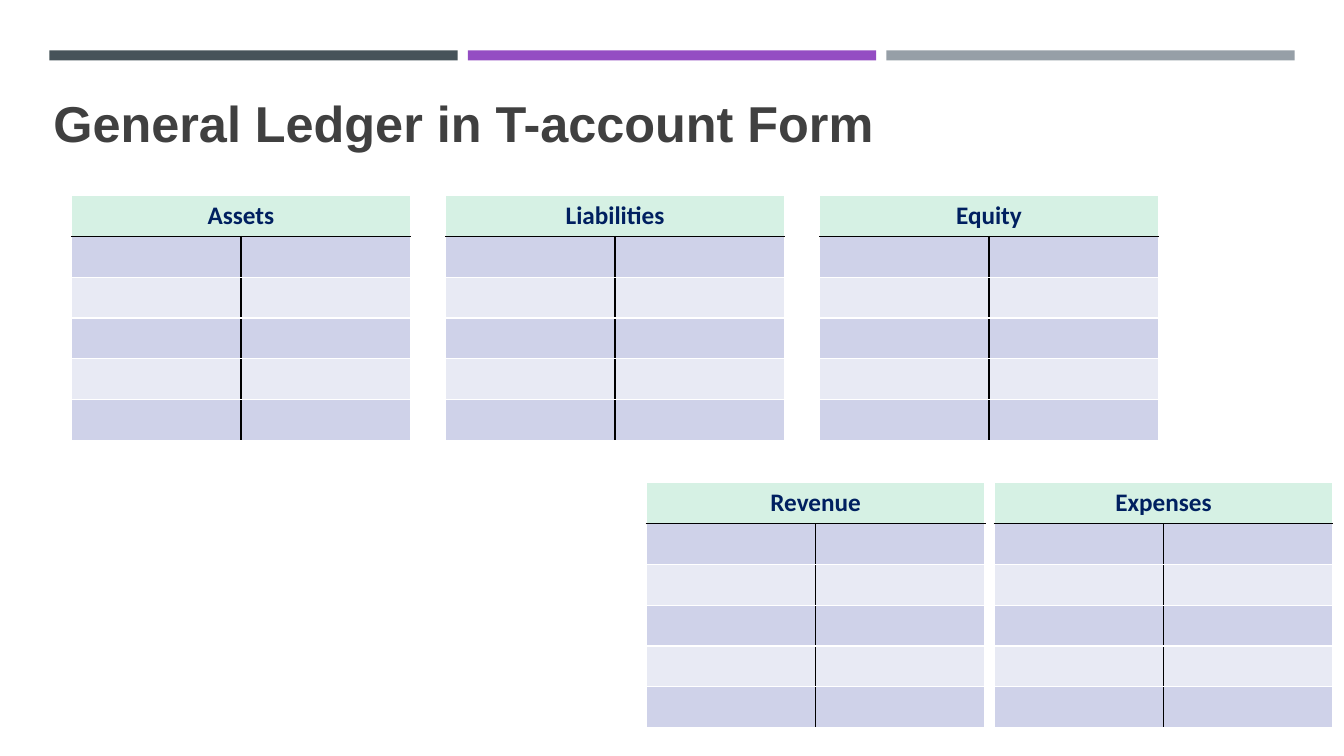
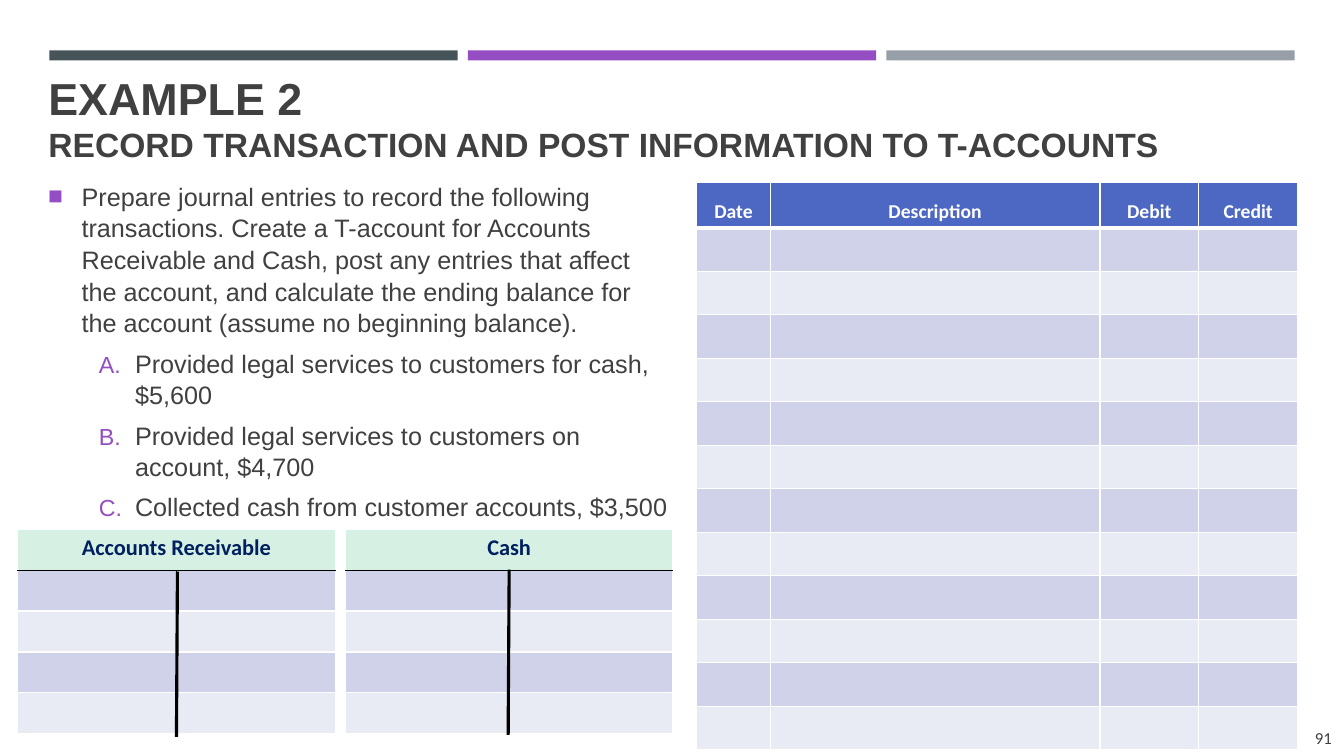
import pptx
import pptx.dml.color
import pptx.enum.shapes
import pptx.enum.text
import pptx.oxml.ns
import pptx.util
from lxml import etree
from pptx.util import Inches

# Shared look
WHITE, BLACK, TEXT, NAVY = "FFFFFF", "000000", "404040", "002060"
SLATE, PURPLE, GREY = "465359", "944DC3", "969FA7"
MINT, BLUE, BAND_DARK, BAND_LIGHT = "D6F1E4", "4D68C3", "CFD2E9", "E8EAF4"
color = pptx.dml.color.RGBColor.from_string
qn = pptx.oxml.ns.qn
ALIGN = pptx.enum.text.PP_ALIGN
ANCHOR = pptx.enum.text.MSO_ANCHOR


def write_text(paragraph, text, size=18, font="Arial", fill=TEXT, bold=False, align=ALIGN.LEFT):
    paragraph.alignment = align
    run = paragraph.add_run()
    run.text = text
    run.font.size = pptx.util.Pt(size)
    run.font.name = font
    run.font.bold = bold
    run.font.color.rgb = color(fill)


def add_ledger(slide, left, top, widths, height, row_count, headings, size=18, t_account=True):
    """Banded table; a T-account has one merged heading and black inner rules."""
    table = slide.shapes.add_table(row_count, len(widths), Inches(left), Inches(top),
                                   Inches(sum(widths)), Inches(height)).table
    table.first_row = table.horz_banding = False
    for column, width in zip(table.columns, widths):
        column.width = Inches(width)
    for row in range(row_count):
        for position in range(len(widths)):
            cell = table.cell(row, position)
            cell.margin_left = cell.margin_right = Inches(0.05)
            borders = {"L": (WHITE, 1), "R": (WHITE, 1), "T": (WHITE, 1), "B": (WHITE, 1)}
            if t_account:
                if row == 0:
                    borders["B"] = (BLACK, 1)
                else:
                    borders["R" if position == 0 else "L"] = (BLACK, 1)
                    if row == 1:
                        borders["T"] = (BLACK, 1)
            elif row < 2:
                borders["B" if row == 0 else "T"] = (WHITE, 3)
            properties = cell._tc.get_or_add_tcPr()
            for side, (line_color, points) in borders.items():
                line = etree.SubElement(properties, qn("a:ln" + side), w=str(pptx.util.Pt(points)))
                solid = etree.SubElement(line, qn("a:solidFill"))
                etree.SubElement(solid, qn("a:srgbClr"), val=line_color)
            cell.fill.solid()
            heading_fill = MINT if t_account else BLUE
            band = BAND_DARK if row % 2 else BAND_LIGHT
            cell.fill.fore_color.rgb = color(band if row else heading_fill)
    if t_account:
        table.cell(0, 0).merge(table.cell(0, 1))
    for position, heading in enumerate(headings):
        cell = table.cell(0, position)
        paragraph = cell.text_frame.paragraphs[0]
        write_text(paragraph, heading, size=size, font="Calibri", bold=True,
                   fill=NAVY if t_account else WHITE, align=ALIGN.CENTER)
        if not t_account:
            cell.vertical_anchor = ANCHOR.MIDDLE
            paragraph.line_spacing = 1.5


presentation = pptx.Presentation()
presentation.slide_width = Inches(13.33)
presentation.slide_height = Inches(7.5)
ledger_slide, example_slide = [
    presentation.slides.add_slide(presentation.slide_layouts[6]) for _ in range(2)]

# Bands across the top of both slides
for slide in (ledger_slide, example_slide):
    for index, band_color in enumerate((SLATE, PURPLE, GREY)):
        band = slide.shapes.add_shape(pptx.enum.shapes.MSO_SHAPE.RECTANGLE,
                                      Inches(0.49 + 4.15 * index), Inches(0.5),
                                      Inches(4.05), Inches(0.1))
        band.shadow.inherit = False
        band.fill.solid()
        band.fill.fore_color.rgb = color(band_color)
        band.line.fill.background()

# Text boxes: titles, exercise and page number
frames = []
for slide, box, anchor, wrap in (
        (ledger_slide, (0.48, 0.56, 12.06, 1.3), ANCHOR.MIDDLE, True),
        (example_slide, (0.43, 0.65, 12.47, 1.3), ANCHOR.TOP, True),
        (example_slide, (0.43, 1.73, 6.24, 3.57), ANCHOR.TOP, True),
        (example_slide, (12.96, 7.17, 0.3, 0.29), ANCHOR.MIDDLE, False)):
    frame = slide.shapes.add_textbox(*map(Inches, box)).text_frame
    frame.word_wrap = wrap
    frame.vertical_anchor = anchor
    frame.margin_left = frame.margin_right = Inches(0.05)
    frames.append(frame)
ledger_title, example_title, exercise, page_number = frames

write_text(ledger_title.paragraphs[0], "General Ledger in T-account Form", size=36, bold=True)
paragraph = example_title.paragraphs[0]
write_text(paragraph, "EXAMPLE 2", size=32, bold=True)
paragraph.add_line_break()
etree.SubElement(paragraph._p.find(qn("a:br")), qn("a:rPr"), sz="3600")
write_text(paragraph, "RECORD TRANSACTION AND POST INFORMATION TO T-ACCOUNTS", size=24, bold=True)
write_text(page_number.paragraphs[0], "91", size=12, font="Calibri", align=ALIGN.RIGHT)

# Exercise with one square bullet and lettered transactions
for index, text in enumerate((
        "Prepare journal entries to record the following transactions. Create a T-account for "
        "Accounts Receivable and Cash, post any entries that affect the account, and calculate "
        "the ending balance for the account (assume no beginning balance).",
        "Provided legal services to customers for cash, $5,600",
        "Provided legal services to customers on account, $4,700",
        "Collected cash from customer accounts, $3,500")):
    paragraph = exercise.add_paragraph() if index else exercise.paragraphs[0]
    paragraph.level = 1 if index else 0
    paragraph.line_spacing = 1.05
    if index:
        paragraph.space_before = pptx.util.Pt(6)
    margin, hanging = (0.86, 0.36) if index else (0.33, 0.33)
    properties = paragraph._p.get_or_add_pPr()
    properties.set("marL", str(Inches(margin)))
    properties.set("indent", str(-Inches(hanging)))
    bullet_color = etree.SubElement(properties, qn("a:buClr"))
    etree.SubElement(bullet_color, qn("a:srgbClr"), val=PURPLE)
    etree.SubElement(properties, qn("a:buSzPct"), val="92000")
    etree.SubElement(properties, qn("a:buFont"), typeface="Arial")
    if index:
        etree.SubElement(properties, qn("a:buAutoNum"), type="alphaUcPeriod")
    else:
        etree.SubElement(properties, qn("a:buChar"), char="◼")
    write_text(paragraph, text)

# T-accounts of the general ledger
for heading, left, top in (("Assets", 0.71, 1.94), ("Liabilities", 4.42, 1.94),
                           ("Equity", 8.13, 1.94), ("Revenue", 6.41, 4.79),
                           ("Expenses", 9.86, 4.79)):
    add_ledger(ledger_slide, left, top, (1.68, 1.68), 2.43, 6, [heading])

# T-accounts of the example, each with a heavy centre line
for heading, left, width, line_x, line_top in (("Cash", 3.43, 1.62, 5.04, 5.65),
                                               ("Accounts Receivable", 0.17, 1.58, 1.75, 5.67)):
    add_ledger(example_slide, left, 5.25, (width, width), 2.03, 5, [heading], size=16)
    line = example_slide.shapes.add_connector(
        pptx.enum.shapes.MSO_CONNECTOR.STRAIGHT, Inches(line_x + 0.01), Inches(line_top),
        Inches(line_x), Inches(line_top + 1.64))
    line.line.color.rgb = color(BLACK)
    line.line.width = pptx.util.Pt(2.25)
    etree.SubElement(line._element.spPr, qn("a:effectLst"))

# Journal
add_ledger(example_slide, 6.91, 1.81, (0.73, 3.27, 0.98, 0.98), 5.61, 13,
           ["Date", "Description", "Debit", "Credit"], size=14, t_account=False)

presentation.save("out.pptx")
